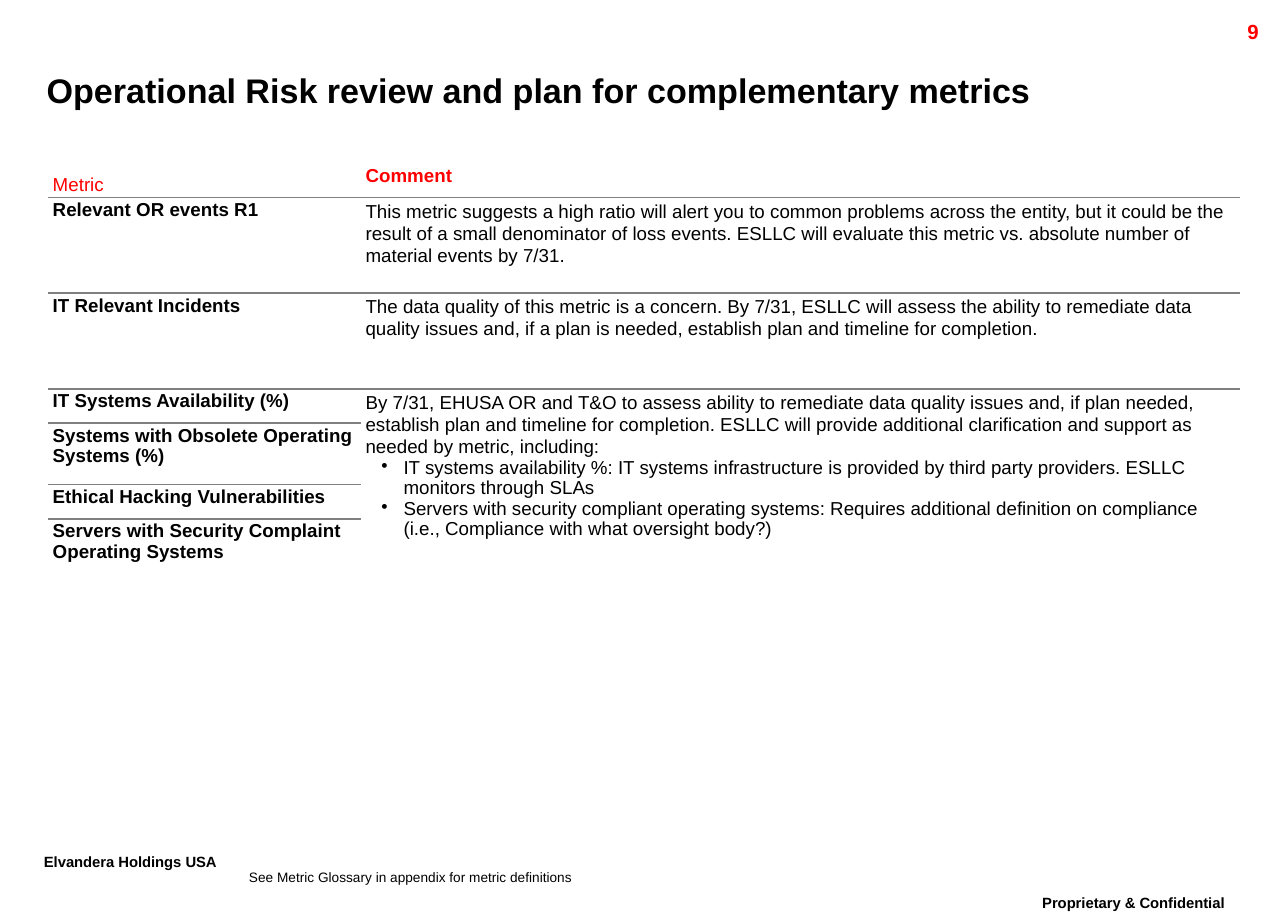
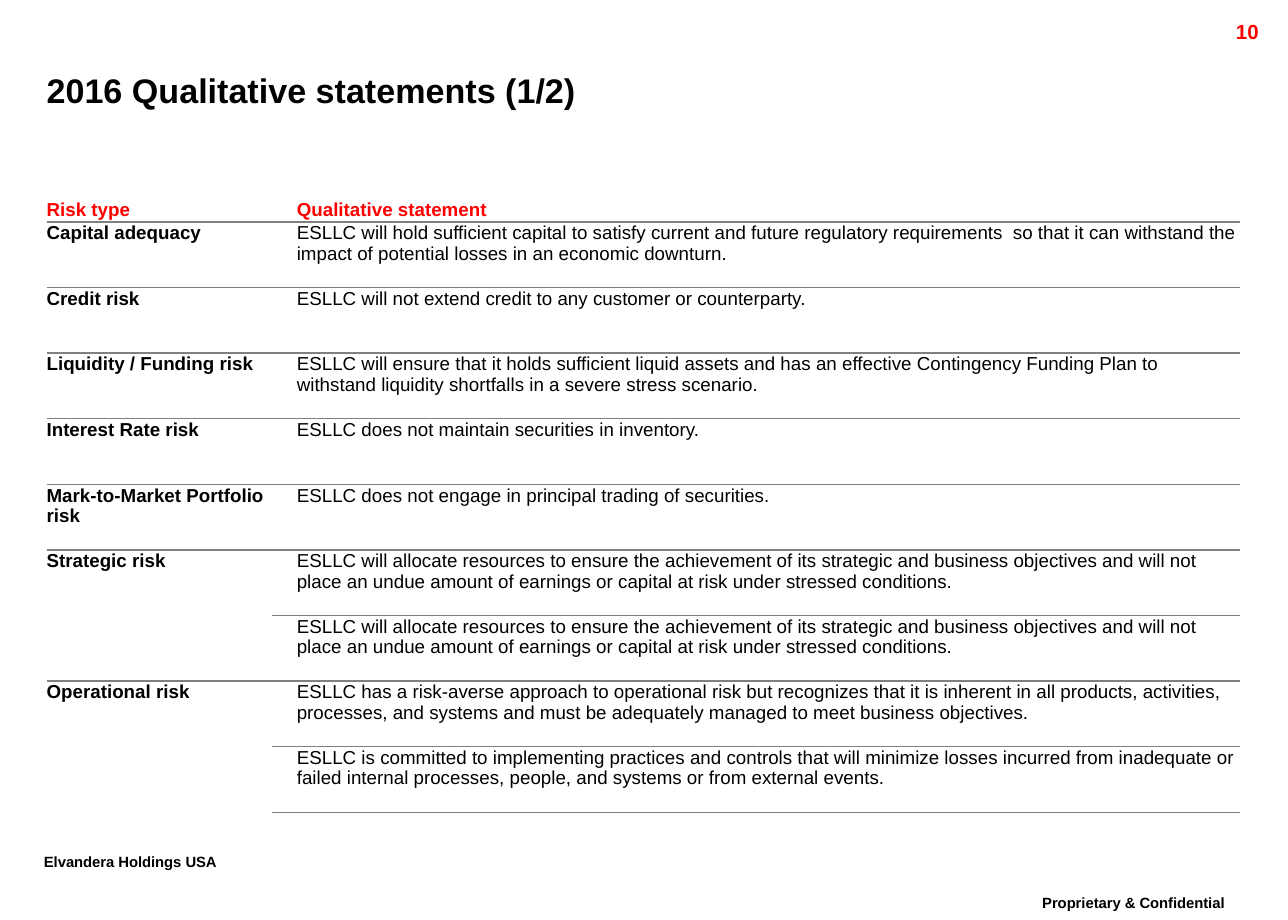
"""Builds two risk review slides, each with a ruled table."""
import dataclasses

import lxml.etree
import pptx
import pptx.dml.color
import pptx.enum.text
import pptx.oxml.ns
import pptx.util

PX = 4572
Pt = pptx.util.Pt
RGB = pptx.dml.color.RGBColor.from_string
ALIGN = pptx.enum.text.PP_ALIGN
ANCHOR = pptx.enum.text.MSO_ANCHOR
qn = pptx.oxml.ns.qn


@dataclasses.dataclass(frozen=True)
class Theme:
    font: str = "Arial"
    ink: str = "000000"
    red: str = "FF0000"
    rule: str = "808080"
    title: int = 20
    foot: int = 15
    page: int = 12
    body: int = 11
    note: int = 8
    tight: float = 0.86


theme = Theme()


def style(para, size, color=theme.ink, bold=False, align=ALIGN.LEFT, lead=None):
    para.alignment = align
    if lead:
        para.line_spacing = lead
    for run in para.runs:
        run.font.name = theme.font
        run.font.size = Pt(size)
        run.font.bold = bold
        run.font.color.rgb = RGB(color)


def label(slide, text, box, size, **look):
    frame = slide.shapes.add_textbox(*[n * PX for n in box]).text_frame
    frame.word_wrap = True
    frame.text = text
    style(frame.paragraphs[0], size, **look)
    return frame


FOOTS = [
    ("Proprietary & Confidential", (1630, 1450, 436, 70), ALIGN.CENTER),
    ("Elvandera Holdings USA", (52, 1382, 382, 70), ALIGN.LEFT),
]

STRATEGY = (
    "ESLLC will allocate resources to ensure the achievement of its strategic and business "
    "objectives and will not place an undue amount of earnings or capital at risk under "
    "stressed conditions."
)

SLIDES = [
    dict(
        page="9",
        title="Operational Risk review and plan for complementary metrics",
        note="See Metric Glossary in appendix for metric definitions",
        at=(78, 266), cols=(510, 1434), rows=(56, 156, 156, 56, 100, 56, 100),
        pads=((8, 4, 8, 4), (8, 4, 8, 4)),
        heads=((ANCHOR.BOTTOM, False), (ANCHOR.TOP, True)),
        lead=13, closed=False,
        cells=[
            ("Metric", "Comment"),
            ("Relevant OR events R1",
             "This metric suggests a high ratio will alert you to common problems across the "
             "entity, but it could be the result of a small denominator of loss events. ESLLC "
             "will evaluate this metric vs. absolute number of material events by 7/31."),
            ("IT Relevant Incidents",
             "The data quality of this metric is a concern. By 7/31, ESLLC will assess the "
             "ability to remediate data quality issues and, if a plan is needed, establish "
             "plan and timeline for completion."),
            ("IT Systems Availability (%)",
             "By 7/31, EHUSA OR and T&O to assess ability to remediate data quality issues "
             "and, if plan needed, establish plan and timeline for completion. ESLLC will "
             "provide additional clarification and support as needed by metric, including:\n"
             "IT systems availability %: IT systems infrastructure is provided by third party "
             "providers. ESLLC monitors through SLAs\n"
             "Servers with security compliant operating systems: Requires additional "
             "definition on compliance (i.e., Compliance with what oversight body?)"),
            ("Systems with Obsolete Operating Systems (%)", None),
            ("Ethical Hacking Vulnerabilities", None),
            ("Servers with Security Complaint Operating Systems", None),
        ],
    ),
    dict(
        page="10",
        title="2016 Qualitative statements (1/2)",
        note=None,
        at=(76, 322), cols=(368, 1578), rows=(40,) + (107,) * 9,
        pads=((0, 2, 2, 0), (40, 2, 2, 0)),
        heads=((ANCHOR.MIDDLE, True), (ANCHOR.MIDDLE, True)),
        lead=12, closed=True,
        cells=[
            ("Risk type", "Qualitative statement"),
            ("Capital adequacy",
             "ESLLC will hold sufficient capital to satisfy current and future regulatory "
             "requirements  so that it can withstand the impact of potential losses in an "
             "economic downturn."),
            ("Credit risk", "ESLLC will not extend credit to any customer or counterparty."),
            ("Liquidity / Funding risk",
             "ESLLC will ensure that it holds sufficient liquid assets and has an effective "
             "Contingency Funding Plan to withstand liquidity shortfalls in a severe stress "
             "scenario."),
            ("Interest Rate risk", "ESLLC does not maintain securities in inventory."),
            ("Mark-to-Market Portfolio risk",
             "ESLLC does not engage in principal trading of securities."),
            ("Strategic risk", STRATEGY),
            (None, STRATEGY),
            ("Operational risk",
             "ESLLC has a risk-averse approach to operational risk but recognizes that it is "
             "inherent in all products, activities, processes, and systems and must be "
             "adequately managed to meet business objectives."),
            (None,
             "ESLLC is committed to implementing practices and controls that will minimize "
             "losses incurred from inadequate or failed internal processes, people, and "
             "systems or from external events."),
        ],
    ),
]

deck = pptx.Presentation()
deck.slide_width, deck.slide_height = 2100 * PX, 1500 * PX

for data in SLIDES:
    slide = deck.slides.add_slide(deck.slide_layouts[5])
    title = slide.shapes.title
    title.left, title.top, title.width, title.height = [n * PX for n in (76, 98, 1896, 96)]
    frame = title.text_frame
    frame.margin_left = frame.margin_top = frame.margin_right = frame.margin_bottom = 0
    frame.vertical_anchor = ANCHOR.MIDDLE
    frame.text = data["title"]
    style(frame.paragraphs[0], theme.title, bold=True)

    label(slide, data["page"], (1872, 22, 200, 48), theme.page,
          color=theme.red, bold=True, align=ALIGN.RIGHT)
    for text, box, align in FOOTS:
        foot = label(slide, text, box, theme.foot, bold=True, align=align, lead=theme.tight)
        foot.paragraphs[0].runs[0].font._element.set("baseline", "30000")
    if data["note"]:
        note = label(slide, data["note"], (406, 1420, 1094, 24), theme.note, lead=theme.tight)
        note.margin_left = note.margin_top = note.margin_right = note.margin_bottom = 0

    cols, rows, cells = data["cols"], data["rows"], data["cells"]
    left, top = data["at"]
    table = slide.shapes.add_table(len(rows), len(cols), left * PX, top * PX,
                                   sum(cols) * PX, sum(rows) * PX).table
    table.first_row = table.horz_banding = False
    table._tbl.tblPr.find(qn("a:tableStyleId")).text = "{2D5ABB26-0587-4C30-8999-92F81FD0307C}"
    for col, width in zip(table.columns, cols):
        col.width = width * PX
    for row, height in zip(table.rows, rows):
        row.height = height * PX

    for c in range(len(cols)):
        start = 0
        for r in range(len(rows)):
            text, cell = cells[r][c], table.cell(r, c)
            if text is not None:
                start = r
            elif r + 1 == len(rows) or cells[r + 1][c] is not None:
                table.cell(start, c).merge(cell)
            cell.fill.background()
            edges = ["a:lnT"] if r and text is not None else []
            if data["closed"] and r + 1 == len(rows):
                edges.append("a:lnB")
            for spot, edge in enumerate(edges):
                line = lxml.etree.Element(qn(edge), w=str(Pt(1)))
                fill = lxml.etree.SubElement(line, qn("a:solidFill"))
                lxml.etree.SubElement(fill, qn("a:srgbClr"), val=theme.rule)
                cell._tc.get_or_add_tcPr().insert(spot, line)
            if text is None:
                continue
            pad = [n * PX for n in data["pads"][c]]
            cell.margin_left, cell.margin_top, cell.margin_right, cell.margin_bottom = pad
            anchor, bold = data["heads"][c] if r == 0 else (ANCHOR.TOP, c == 0)
            cell.vertical_anchor = anchor
            cell.text_frame.text = text
            for i, para in enumerate(cell.text_frame.paragraphs):
                if i:
                    props = para._p.get_or_add_pPr()
                    props.set("marL", str(62 * PX))
                    props.set("indent", str(-36 * PX))
                    lxml.etree.SubElement(props, qn("a:buChar"), char="•")
                lead = data["lead"] if r and c and not i else 12
                style(para, theme.body, theme.ink if r else theme.red, bold, lead=Pt(lead))

deck.save("out.pptx")
